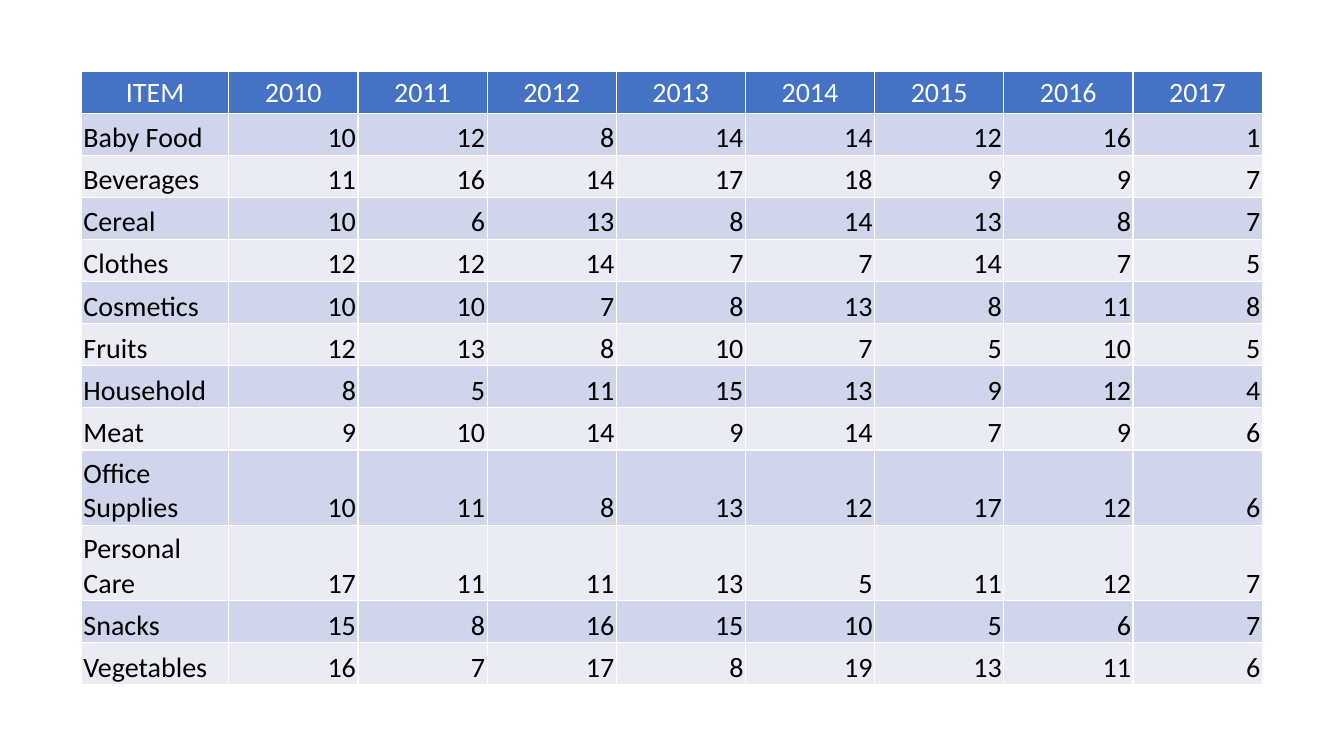
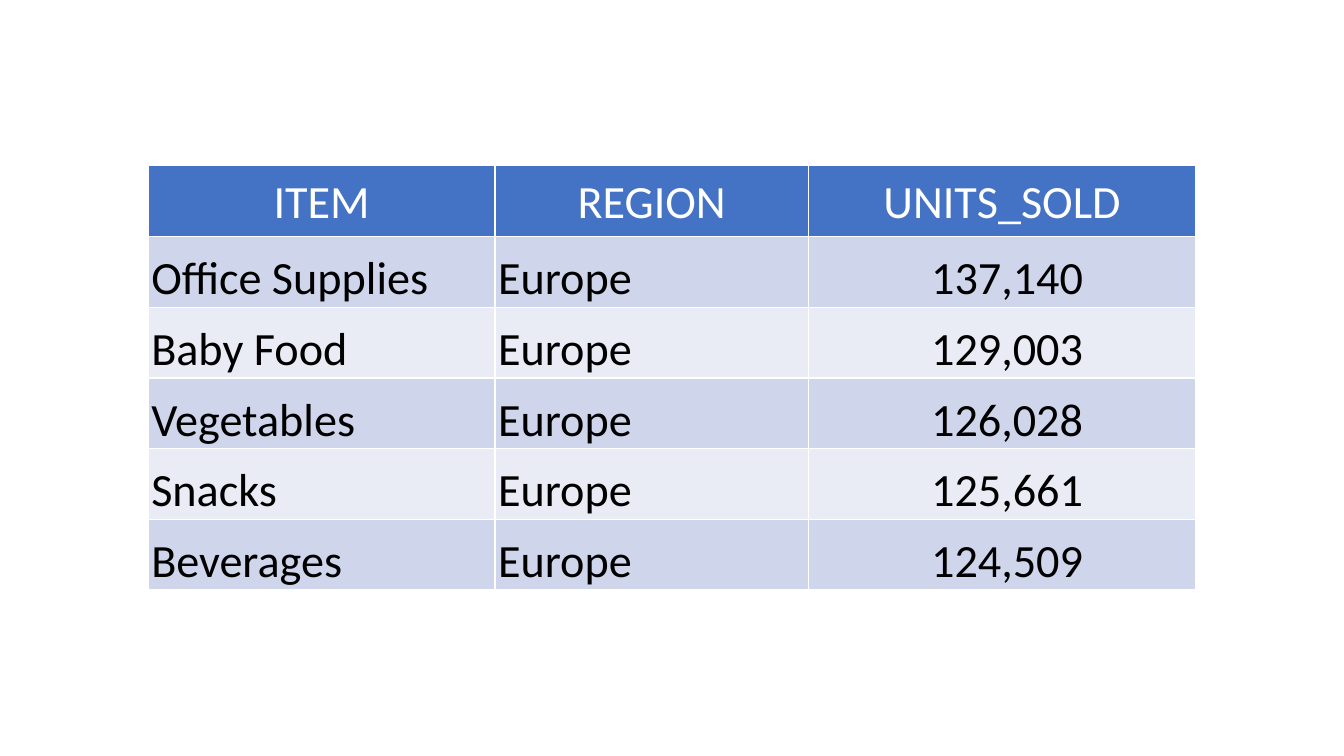
import pptx
import pptx.dml.color
import pptx.enum.text
import pptx.oxml
import pptx.oxml.ns
import pptx.util

COLORS = {
    "header": "4472C4",
    "odd_row": "CFD5EA",
    "even_row": "E9EBF5",
    "rule": "FFFFFF",
    "header_text": "FFFFFF",
    "body_text": "000000",
}
ALIGN = pptx.enum.text.PP_ALIGN
ANCHOR = pptx.enum.text.MSO_ANCHOR

YEARS = [str(year) for year in range(2010, 2018)]
ITEM_COUNTS = {
    "Baby Food": [10, 12, 8, 14, 14, 12, 16, 1],
    "Beverages": [11, 16, 14, 17, 18, 9, 9, 7],
    "Cereal": [10, 6, 13, 8, 14, 13, 8, 7],
    "Clothes": [12, 12, 14, 7, 7, 14, 7, 5],
    "Cosmetics": [10, 10, 7, 8, 13, 8, 11, 8],
    "Fruits": [12, 13, 8, 10, 7, 5, 10, 5],
    "Household": [8, 5, 11, 15, 13, 9, 12, 4],
    "Meat": [9, 10, 14, 9, 14, 7, 9, 6],
    "Office Supplies": [10, 11, 8, 13, 12, 17, 12, 6],
    "Personal Care": [17, 11, 11, 13, 5, 11, 12, 7],
    "Snacks": [15, 8, 16, 15, 10, 5, 6, 7],
    "Vegetables": [16, 7, 17, 8, 19, 13, 11, 6],
}
TWO_LINE_ITEMS = ("Office Supplies", "Personal Care")
EUROPE_UNITS = {
    "Office Supplies": 137140,
    "Baby Food": 129003,
    "Vegetables": 126028,
    "Snacks": 125661,
    "Beverages": 124509,
}


def set_attributes(target, values):
    for name, value in values.items():
        setattr(target, name, value)


class TableDeck:
    """Style and current slide, measured on a grid of 160 columns by 90 rows."""

    font_name = "Calibri"
    grid_columns, grid_rows = 160, 90

    def __init__(self):
        self.deck = pptx.Presentation()
        self.deck.slide_width = pptx.util.Inches(13.333)
        self.deck.slide_height = pptx.util.Inches(7.5)
        self.slide = None

    def add_slide(self):
        self.slide = self.deck.slides.add_slide(self.deck.slide_layouts[6])

    def add_centered_table(self, rows, columns, lines, column_weights,
                           row_weights, aligns, size, inset, indents=None):
        """Centre a table on the slide; weights share out its grid size."""
        width = self.deck.slide_width * columns / self.grid_columns
        height = self.deck.slide_height * lines / self.grid_rows
        left = int((self.deck.slide_width - width) / 2)
        top = int((self.deck.slide_height - height) / 2)
        table = self.slide.shapes.add_table(
            len(rows), len(aligns), left, top, int(width), int(height)).table
        for column, weight in zip(table.columns, column_weights):
            column.width = int(width * weight / sum(column_weights))
        for row, weight in zip(table.rows, row_weights):
            row.height = int(height * weight / sum(row_weights))
        indents = indents or [0] * len(aligns)
        for row_index, texts in enumerate(rows):
            for column_index, text in enumerate(texts):
                is_header = row_index == 0
                self.fill_cell(
                    table.cell(row_index, column_index), text, row_index, size,
                    ALIGN.CENTER if is_header else aligns[column_index],
                    inset, 0 if is_header else indents[column_index])

    def fill_cell(self, cell, text, row_index, size, align, inset, indent):
        is_header = row_index == 0
        band = "header" if is_header else "odd_row" if row_index % 2 else "even_row"
        margin = pptx.util.Inches(inset)
        set_attributes(cell, {
            "text": text,
            "vertical_anchor": ANCHOR.MIDDLE if is_header else ANCHOR.BOTTOM,
            "margin_left": margin + pptx.util.Inches(indent),
            "margin_top": margin,
            "margin_right": margin,
            "margin_bottom": 0,
        })
        cell.fill.solid()
        cell.fill.fore_color.rgb = self.color(band)
        para = cell.text_frame.paragraphs[0]
        para.alignment = align
        font = para.runs[0].font
        set_attributes(font, {"name": self.font_name, "bold": False,
                              "size": pptx.util.Pt(size)})
        font.color.rgb = self.color("header_text" if is_header else "body_text")
        self.add_borders(cell)

    def add_borders(self, cell):
        properties = cell._tc.get_or_add_tcPr()
        for index, side in enumerate(("lnL", "lnR", "lnT", "lnB")):
            properties.insert(index, pptx.oxml.parse_xml(
                f'<a:{side} {pptx.oxml.ns.nsdecls("a")} w="{pptx.util.Pt(1)}">'
                f'<a:solidFill><a:srgbClr val="{COLORS["rule"]}"/></a:solidFill>'
                f'</a:{side}>'))

    @staticmethod
    def color(name):
        return pptx.dml.color.RGBColor.from_string(COLORS[name])


def main():
    tables = TableDeck()

    tables.add_slide()
    yearly_rows = [["ITEM", *YEARS]]
    yearly_rows += [[item, *map(str, counts)] for item, counts in ITEM_COUNTS.items()]
    tables.add_centered_table(
        yearly_rows, columns=140.6, lines=73.1,
        column_weights=[1.14] + [1] * len(YEARS),
        row_weights=[1.79 if row[0] in TWO_LINE_ITEMS else 1 for row in yearly_rows],
        aligns=[ALIGN.LEFT] + [ALIGN.RIGHT] * len(YEARS),
        size=20, inset=0.02)

    tables.add_slide()
    europe_rows = [["ITEM", "REGION", "UNITS_SOLD"]]
    europe_rows += [[item, "Europe", f"{units:,}"] for item, units in EUROPE_UNITS.items()]
    tables.add_centered_table(
        europe_rows, columns=124.7, lines=50.5,
        column_weights=[3.44, 3.11, 3.84],
        row_weights=[1] * len(europe_rows),
        aligns=[ALIGN.LEFT, ALIGN.LEFT, ALIGN.CENTER],
        size=33, inset=0.03, indents=[0, 0, 0.1])

    tables.deck.save("out.pptx")


if __name__ == "__main__":
    main()
